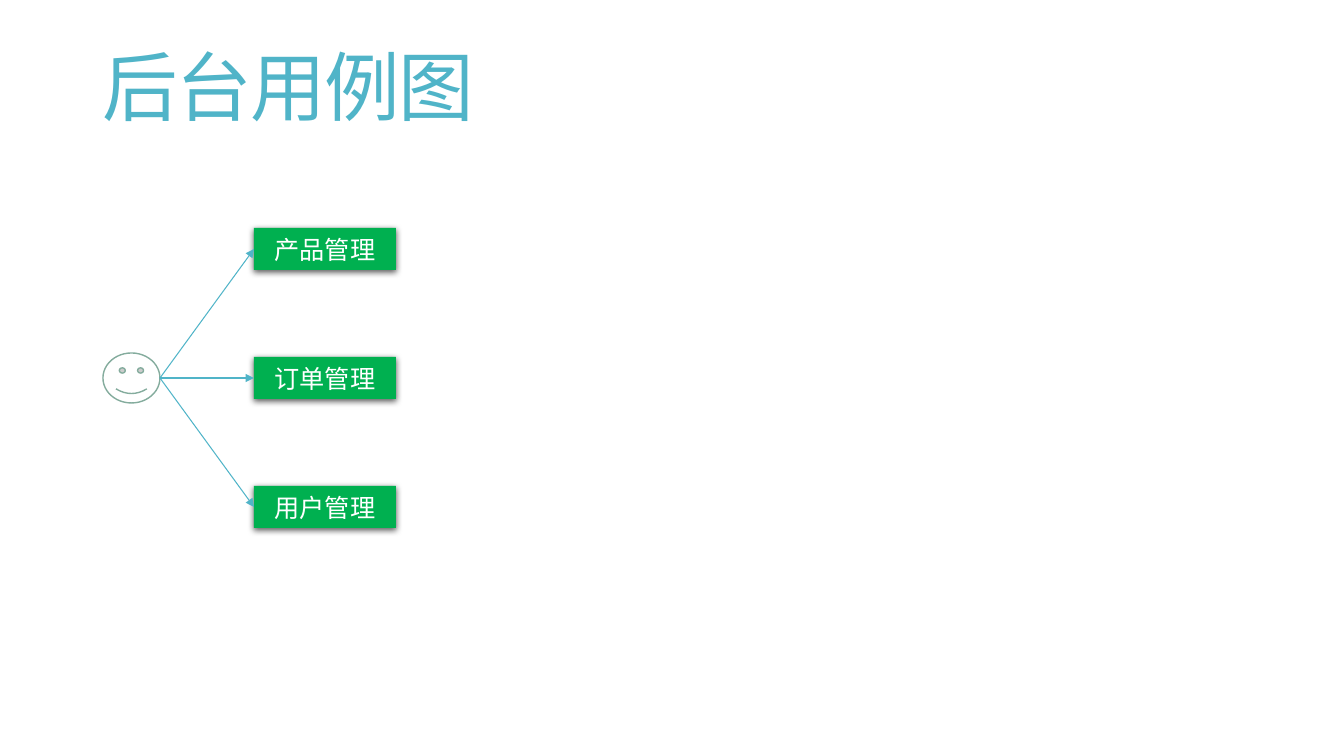
from pptx import Presentation, util as u
from pptx.dml.color import RGBColor
from pptx.enum import shapes, text
from pptx.oxml import parse_xml
from pptx.oxml.ns import nsdecls

EMU_PER_PIXEL = 914400 / 100.8
TEAL, GREEN, SAGE, WHITE = "50B4C8", "00B050", "84AC9D", "FFFFFF"
SHADOW = (
    f'<a:outerShdw {nsdecls("a")} blurRad="57150" dist="19050" dir="5400000" '
    'algn="ctr" rotWithShape="0"><a:srgbClr val="000000">'
    '<a:alpha val="63000"/></a:srgbClr></a:outerShdw>'
)


def px(*lengths):
    """Turn pixel lengths into a list of EMU lengths."""
    return [u.Emu(round(length * EMU_PER_PIXEL)) for length in lengths]


def color(hex_string):
    """Turn a hex string into a colour."""
    return RGBColor.from_string(hex_string)


deck = Presentation()
deck.slide_width, deck.slide_height = px(1344, 756)
page = deck.slides.add_slide(deck.slide_layouts[6])

# Title
title = page.shapes.add_textbox(*px(93, 40, 1159, 104))
title.text_frame.word_wrap = True
title.text_frame.vertical_anchor = text.MSO_ANCHOR.MIDDLE
para = title.text_frame.paragraphs[0]
para.text = "后台用例图"
para.line_spacing = 0.85
span = para.runs[0]
span.font.name = "Calibri"
span.font.size = u.Pt(54)
span.font.color.rgb = color(TEAL)
span.font._element.set("spc", "-120")

# Administrator
actor_left, actor_width, actor_height = 103, 57, 50
middle = 378
actor = page.shapes.add_shape(
    shapes.MSO_SHAPE.SMILEY_FACE,
    *px(actor_left, middle - actor_height // 2, actor_width, actor_height))
actor.shadow.inherit = False
actor.fill.solid()
actor.fill.fore_color.rgb = color(WHITE)
actor.line.color.rgb = color(SAGE)
actor.line.width = u.Pt(1)

# Use cases, each with an arrow from the administrator
case_left, case_width, case_height, case_pitch = 254, 142, 42, 129
for index, name in enumerate(["产品管理", "订单管理", "用户管理"]):
    center = middle + (index - 1) * case_pitch
    box = page.shapes.add_shape(
        shapes.MSO_SHAPE.RECTANGLE,
        *px(case_left, center - case_height // 2, case_width, case_height))
    box.fill.solid()
    box.fill.fore_color.rgb = color(GREEN)
    box.line.fill.background()
    box.shadow.inherit = False
    box._element.spPr.find("{*}effectLst").append(parse_xml(SHADOW))
    box.text_frame.vertical_anchor = text.MSO_ANCHOR.MIDDLE
    para = box.text_frame.paragraphs[0]
    para.text = name
    para.alignment = text.PP_ALIGN.CENTER
    span = para.runs[0]
    span.font.name = "Calibri"
    span.font.size = u.Pt(18)
    span.font.color.rgb = color(WHITE)

    arrow = page.shapes.add_connector(
        shapes.MSO_CONNECTOR.STRAIGHT,
        *px(actor_left + actor_width, middle, case_left, center))
    arrow.line.color.rgb = color(TEAL)
    arrow.line.width = u.Pt(0.75)
    arrow.line._get_or_add_ln().append(
        parse_xml(f'<a:tailEnd {nsdecls("a")} type="triangle"/>'))
    arrow._element.spPr.append(parse_xml(f'<a:effectLst {nsdecls("a")}/>'))

deck.save("out.pptx")
